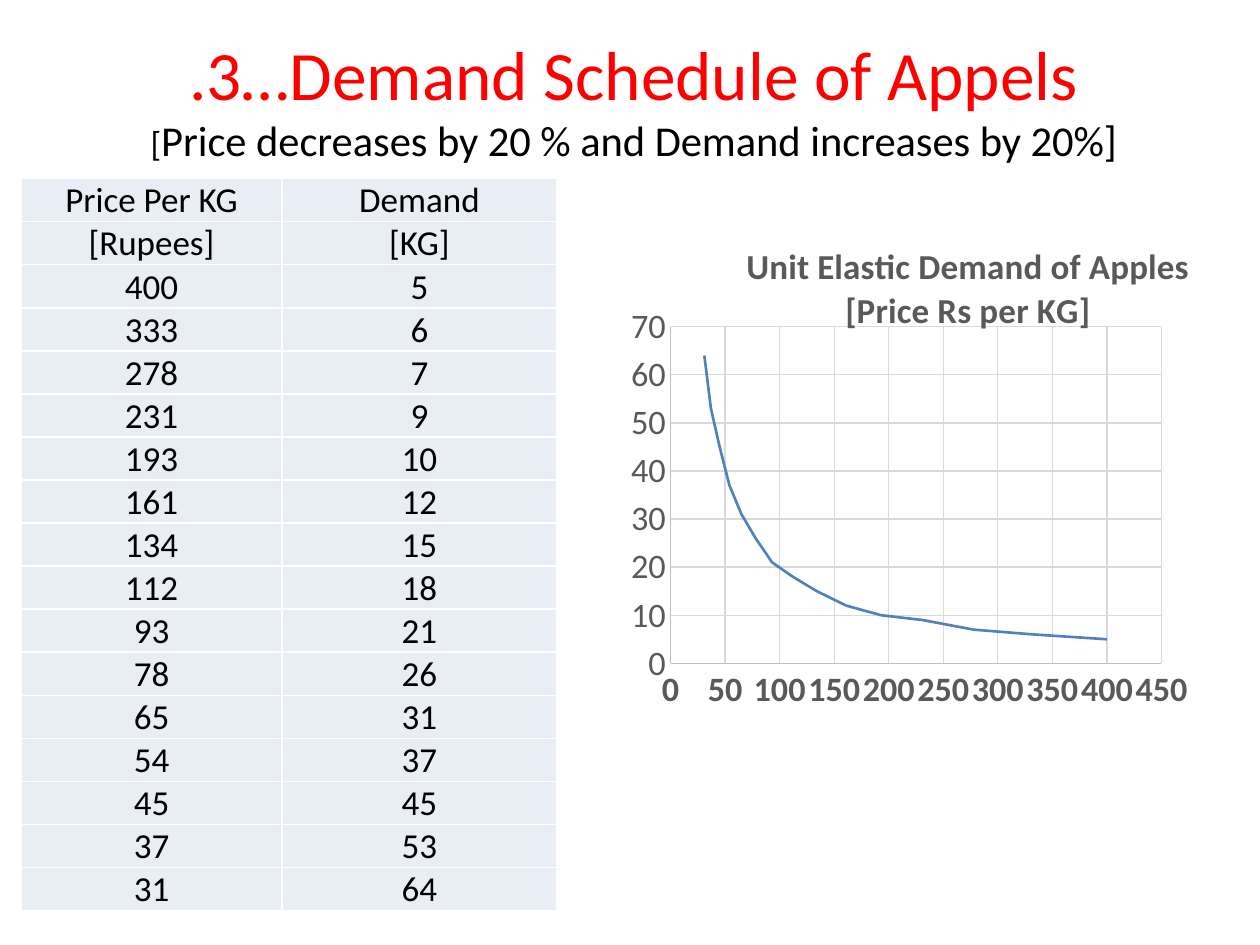
from lxml import etree
from pptx import Presentation
from pptx.chart.data import XyChartData
from pptx.dml.color import RGBColor
from pptx.enum.chart import XL_CHART_TYPE, XL_TICK_MARK
from pptx.enum.text import MSO_ANCHOR, PP_ALIGN
from pptx.oxml.ns import qn
from pptx.util import Cm, Pt

CENTER = PP_ALIGN.CENTER
MIDDLE = MSO_ANCHOR.MIDDLE
BOTTOM = MSO_ANCHOR.BOTTOM
SMOOTH_SCATTER = XL_CHART_TYPE.XY_SCATTER_SMOOTH_NO_MARKERS
NO_TICK = XL_TICK_MARK.NONE

FONT = "Calibri"
BLACK, RED, WHITE = "000000", "FF0000", "FFFFFF"
CELL_FILL, CURVE = "E9EDF4", "4F81BD"
CHART_TEXT, AXIS, GRID = "595959", "BFBFBF", "D9D9D9"

HEADINGS = [("Price Per KG", "Demand"), ("[Rupees]", "[KG]")]
SCHEDULE = [
    (400, 5), (333, 6), (278, 7), (231, 9), (193, 10),
    (161, 12), (134, 15), (112, 18), (93, 21), (78, 26),
    (65, 31), (54, 37), (45, 45), (37, 53), (31, 64),
]


def rgb(value):
    return RGBColor.from_string(value)


def style_font(font, size, color=BLACK, bold=False):
    font.name = FONT
    font.size = Pt(size)
    font.bold = bold
    font.color.rgb = rgb(color)


def add_text(paragraph, text, **font_format):
    paragraph.alignment = CENTER
    run = paragraph.add_run()
    run.text = text
    style_font(run.font, **font_format)


def style_line(line, color, width):
    line.color.rgb = rgb(color)
    line.width = Pt(width)


def add_heading(slide, left, top, width, height):
    frame = slide.shapes.add_textbox(left, top, width, height).text_frame
    frame.word_wrap = True
    frame.vertical_anchor = MIDDLE
    add_text(frame.paragraphs[0], ".3…Demand Schedule of Appels", size=39.6, color=RED)
    subtitle = frame.add_paragraph()
    add_text(subtitle, "[", size=19.8)
    add_text(subtitle, "Price decreases by 20 % and Demand increases by 20%]", size=24.3)


def add_cell_borders(cell, color, width):
    properties = cell._tc.get_or_add_tcPr()
    for index, side in enumerate(("a:lnL", "a:lnR", "a:lnT", "a:lnB")):
        border = etree.Element(qn(side), w=str(Pt(width)))
        fill = etree.SubElement(border, qn("a:solidFill"))
        etree.SubElement(fill, qn("a:srgbClr"), val=color)
        properties.insert(index, border)


def add_schedule(slide, left, top, width, height):
    rows = HEADINGS + SCHEDULE
    table = slide.shapes.add_table(len(rows), 2, left, top, width, height).table
    table.first_row = False
    table.horz_banding = False
    price_width = Cm(5.25)
    table.columns[0].width = price_width
    table.columns[1].width = width - price_width
    for row, values in enumerate(rows):
        for column, value in enumerate(values):
            cell = table.cell(row, column)
            cell.fill.solid()
            cell.fill.fore_color.rgb = rgb(CELL_FILL)
            cell.margin_left = cell.margin_right = cell.margin_top = Cm(0.02)
            cell.margin_bottom = 0
            cell.vertical_anchor = BOTTOM
            add_text(cell.text_frame.paragraphs[0], str(value), size=20)
            add_cell_borders(cell, WHITE, 1)


def set_layout(part, index, **settings):
    for previous in part.findall(qn("c:layout")):
        part.remove(previous)
    layout = etree.Element(qn("c:layout"))
    manual = etree.SubElement(layout, qn("c:manualLayout"))
    for name, value in settings.items():
        etree.SubElement(manual, qn(f"c:{name}"), val=str(value))
    part.insert(index, layout)


def style_axis(axis, maximum, step, size, bold):
    axis.minimum_scale = 0
    axis.maximum_scale = maximum
    axis.major_unit = step
    axis.major_tick_mark = axis.minor_tick_mark = NO_TICK
    axis.has_major_gridlines = True
    style_line(axis.major_gridlines.format.line, GRID, 0.75)
    style_line(axis.format.line, AXIS, 0.75)
    style_font(axis.tick_labels.font, size, CHART_TEXT, bold)


def add_demand_curve(slide, left, top, width, height):
    data = XyChartData()
    demand = data.add_series("Series 1")
    for price, quantity in SCHEDULE:
        demand.add_data_point(price, quantity)
    chart = slide.shapes.add_chart(SMOOTH_SCATTER, left, top, width, height, data).chart
    style_font(chart.font, 10)
    chart.has_legend = False
    chart.plots[0].vary_by_categories = False

    chart.has_title = True
    title = chart.chart_title
    frame = title.text_frame
    add_text(frame.paragraphs[0], "Unit Elastic Demand of Apples", size=20, color=CHART_TEXT, bold=True)
    add_text(frame.add_paragraph(), "[Price Rs per KG]", size=20, color=CHART_TEXT, bold=True)
    set_layout(chart.element.find(f".//{qn('c:title')}"), 1,
               xMode="edge", yMode="edge", x=0.24, y=0.03)
    title.include_in_layout = False
    set_layout(chart.element.find(f".//{qn('c:plotArea')}"), 0,
               layoutTarget="inner", xMode="edge", yMode="edge",
               x=0.12, y=0.17, w=0.82, h=0.54)

    style_axis(chart.category_axis, 450, 50, 19.5, True)
    style_axis(chart.value_axis, 70, 10, 19.6, False)
    curve = chart.series[0] if hasattr(chart, "series") else chart.plots[0].series[0]
    curve.smooth = True
    style_line(curve.format.line, CURVE, 1.5)


def main():
    presentation = Presentation()
    presentation.slide_width = Cm(25.4)
    presentation.slide_height = Cm(19.05)
    slide = presentation.slides.add_slide(presentation.slide_layouts[6])
    add_heading(slide, Cm(0.43), Cm(0.2), Cm(24.7), Cm(3.55))
    add_schedule(slide, Cm(0.43), Cm(3.6), Cm(10.8), Cm(14.68))
    add_demand_curve(slide, Cm(12.07), Cm(4.45), Cm(12.07), Cm(12.57))
    presentation.save("out.pptx")


if __name__ == "__main__":
    main()
